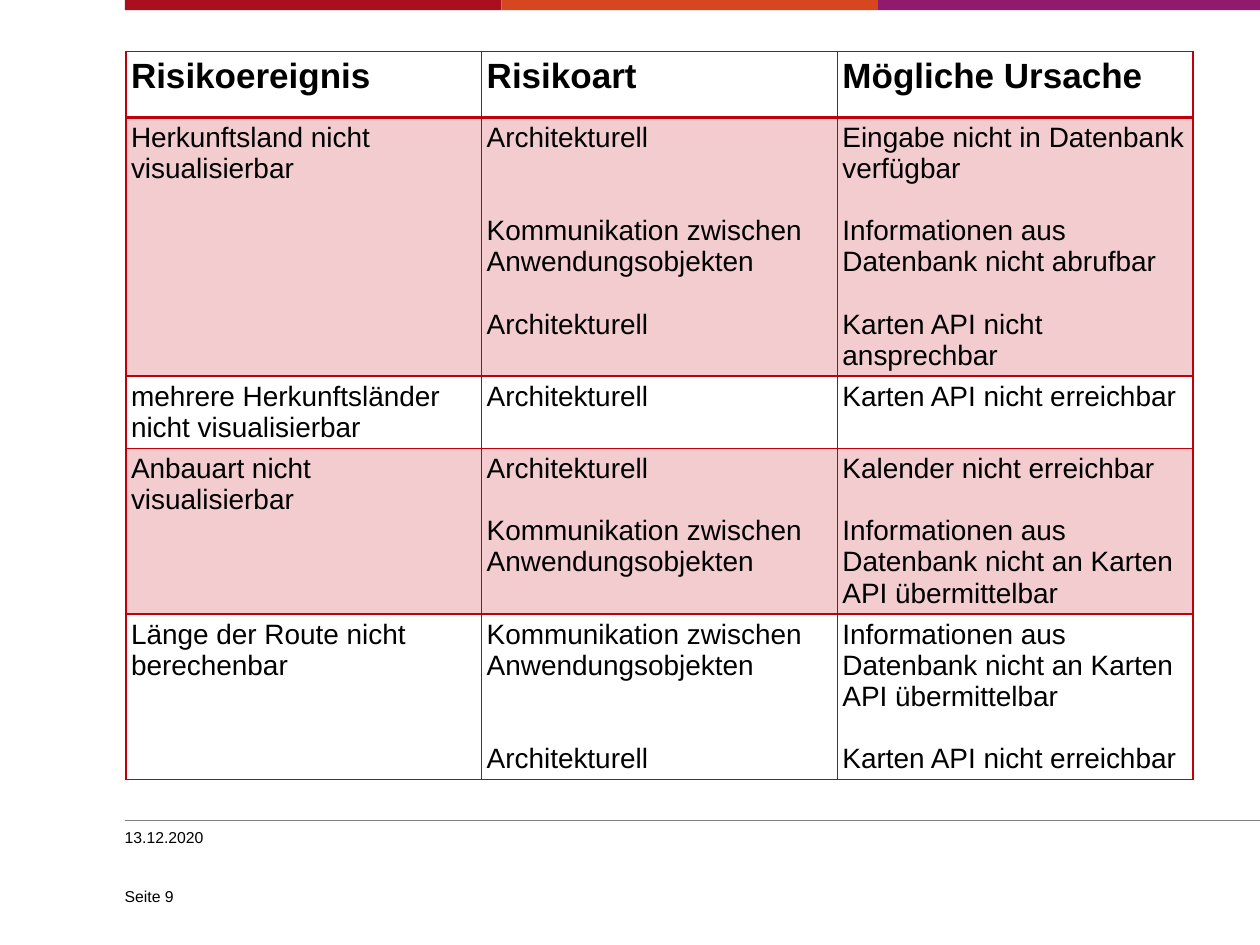
from lxml import etree
from pptx import Presentation
from pptx.dml.color import RGBColor
from pptx.enum.shapes import MSO_CONNECTOR as CONNECTOR, MSO_SHAPE as SHAPE
from pptx.enum.text import MSO_ANCHOR as ANCHOR
from pptx.oxml.ns import qn
from pptx.util import Inches, Pt

BLACK = RGBColor(0x00, 0x00, 0x00)
GREY = RGBColor(0x80, 0x80, 0x80)
RED = RGBColor(0xC0, 0x00, 0x09)
PINK = RGBColor(0xF2, 0xCC, 0xCE)
STRIPES = [RGBColor(0xAA, 0x0F, 0x1F), RGBColor(0xD7, 0x47, 0x1F),
           RGBColor(0x90, 0x1B, 0x6E)]

FONT = "Arial"
LINE_HEIGHT = 17.8  # one line of 16 pt text, in points
MARGIN = 0.99
SLIDE_WIDTH, SLIDE_HEIGHT = 10, 7.5

HEADINGS = ["Risikoereignis", "Risikoart", "Mögliche Ursache"]
ROW_HEIGHTS = [0.52, 2.05, 0.57, 1.31, 1.31]
CALL = "Kommunikation zwischen Anwendungsobjekten"
ARCHITECTURE = "Architekturell"
NOT_SENT = "Informationen aus Datenbank nicht an Karten API übermittelbar"
MAP_DOWN = "Karten API nicht erreichbar"

# Each cell lists its paragraphs as (text, empty lines above)
RISKS = [
    [[("Herkunftsland nicht visualisierbar", 0)],
     [(ARCHITECTURE, 0), (CALL, 2), (ARCHITECTURE, 1)],
     [("Eingabe nicht in Datenbank verfügbar", 0),
      ("Informationen aus Datenbank nicht abrufbar", 1),
      ("Karten API nicht ansprechbar", 1)]],
    [[("mehrere Herkunftsländer nicht visualisierbar", 0)],
     [(ARCHITECTURE, 0)],
     [(MAP_DOWN, 0)]],
    [[("Anbauart nicht visualisierbar", 0)],
     [(ARCHITECTURE, 0), (CALL, 1)],
     [("Kalender nicht erreichbar", 0), (NOT_SENT, 1)]],
    [[("Länge der Route nicht berechenbar", 0)],
     [(CALL, 0), (ARCHITECTURE, 2)],
     [(NOT_SENT, 0), (MAP_DOWN, 1)]],
]


def write_text(frame, paragraphs, size=16, bold=False, margin=0.0,
               anchor=ANCHOR.TOP, wrap=True):
    """Fill a text frame with (text, empty lines above) paragraphs."""
    frame.word_wrap = wrap
    frame.vertical_anchor = anchor
    frame.margin_left = frame.margin_right = Inches(margin)
    frame.margin_top = frame.margin_bottom = Inches(margin)
    for index, (text, gap) in enumerate(paragraphs):
        paragraph = frame.add_paragraph() if index else frame.paragraphs[0]
        paragraph.space_before = Pt(gap * LINE_HEIGHT)
        run = paragraph.add_run()
        run.text = text
        run.font.name, run.font.size, run.font.bold = FONT, Pt(size), bold
        run.font.color.rgb = BLACK


def set_borders(cell, bottom_width):
    """Draw red lines around a cell; they must precede its fill."""
    properties = cell._tc.get_or_add_tcPr()
    widths = {"a:lnL": 1, "a:lnR": 1, "a:lnT": 1, "a:lnB": bottom_width}
    for position, (tag, width) in enumerate(widths.items()):
        line = etree.Element(qn(tag), w=str(Pt(width)))
        fill = etree.SubElement(line, qn("a:solidFill"))
        etree.SubElement(fill, qn("a:srgbClr"), val=str(RED))
        properties.insert(position, line)


def add_top_band(slide, left, top, width, height):
    step = 2.99
    for index, color in enumerate(STRIPES):
        offset = index * step
        stripe_width = step if index < len(STRIPES) - 1 else width - offset
        stripe = slide.shapes.add_shape(
            SHAPE.RECTANGLE, Inches(left + offset), Inches(top),
            Inches(stripe_width), Inches(height))
        stripe.shadow.inherit = False
        stripe.fill.solid()
        stripe.fill.fore_color.rgb = color
        stripe.line.fill.background()


def add_risk_table(slide, left, top, width):
    frame = slide.shapes.add_table(
        len(ROW_HEIGHTS), len(HEADINGS), Inches(left), Inches(top),
        Inches(width), Inches(sum(ROW_HEIGHTS)))
    table = frame.table
    table.first_row = table.horz_banding = False
    for column in table.columns:
        column.width = Inches(width / len(HEADINGS))
    for row, height in zip(table.rows, ROW_HEIGHTS):
        row.height = Inches(height)

    contents = [[[(heading, 0)] for heading in HEADINGS]] + RISKS
    for row_index, row in enumerate(contents):
        is_header = row_index == 0
        for column_index, paragraphs in enumerate(row):
            cell = table.cell(row_index, column_index)
            if row_index % 2:
                cell.fill.solid()
                cell.fill.fore_color.rgb = PINK
            else:
                cell.fill.background()
            # A cell takes its margins and anchor itself, not its text frame
            cell.margin_left = cell.margin_right = Inches(0.04)
            cell.margin_top = cell.margin_bottom = Inches(0.04)
            write_text(cell.text_frame, paragraphs, margin=0.04,
                       size=20 if is_header else 16, bold=is_header)
            set_borders(cell, bottom_width=2 if is_header or row_index == 0 else 1)


def add_footer(slide, left, top, width):
    # Rule above the footer
    rule = slide.shapes.add_connector(
        CONNECTOR.STRAIGHT, Inches(left), Inches(top),
        Inches(left + width), Inches(top))
    rule.line.color.rgb = GREY
    rule.line.width = Pt(0.5)
    etree.SubElement(rule._element.spPr, qn("a:effectLst"))

    # Date and page number
    entries = [("13.12.2020", 0.06, 0.2, ANCHOR.TOP, False),
               ("Seite 9", 0.45, 0.23, ANCHOR.BOTTOM, True)]
    for text, offset, height, anchor, wrap in entries:
        box = slide.shapes.add_textbox(
            Inches(left), Inches(top + offset), Inches(1.06), Inches(height))
        write_text(box.text_frame, [(text, 0)], size=9, anchor=anchor, wrap=wrap)


def main():
    presentation = Presentation()
    presentation.slide_width = Inches(SLIDE_WIDTH)
    presentation.slide_height = Inches(SLIDE_HEIGHT)
    slide = presentation.slides.add_slide(presentation.slide_layouts[6])
    add_top_band(slide, MARGIN, 0, SLIDE_WIDTH - MARGIN, 0.08)
    add_risk_table(slide, 1, 0.41, 8.47)
    add_footer(slide, MARGIN, 6.51, SLIDE_WIDTH - MARGIN)
    presentation.save("out.pptx")


if __name__ == "__main__":
    main()
